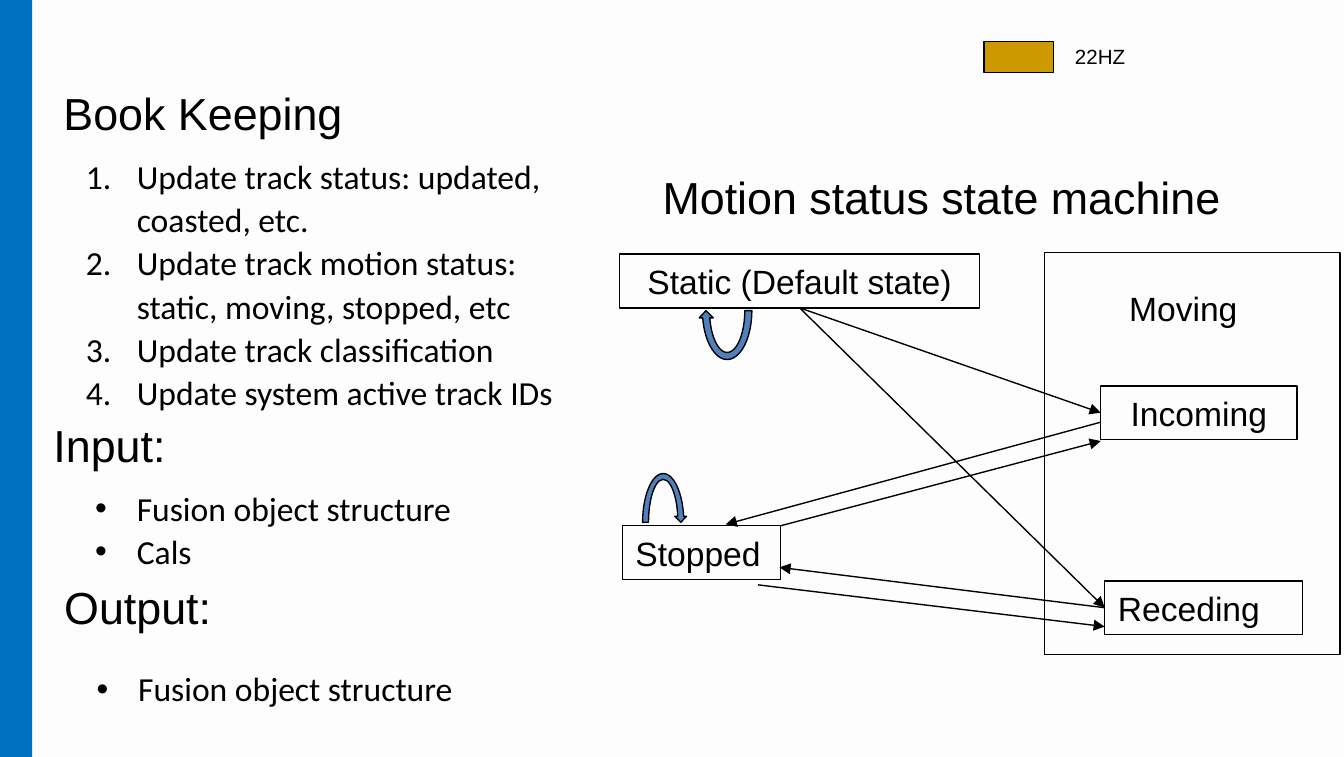
from lxml import etree
from pptx import Presentation
from pptx.dml.color import RGBColor
from pptx.enum.shapes import MSO_CONNECTOR, MSO_SHAPE
from pptx.enum.text import MSO_AUTO_SIZE, PP_ALIGN
from pptx.oxml.ns import qn
from pptx.util import Inches, Pt

RECT, LOOP = MSO_SHAPE.RECTANGLE, MSO_SHAPE.CIRCULAR_ARROW
STRAIGHT = MSO_CONNECTOR.STRAIGHT
LEFT, CENTER = PP_ALIGN.LEFT, PP_ALIGN.CENTER
FIT = MSO_AUTO_SIZE.SHAPE_TO_FIT_TEXT
BOTTOM_SIDE, LEFT_SIDE = 0 + 2, 1
COLORS = {"background": "FDFDFD", "band": "0070C0", "rate": "CC9900",
          "loop": "4F81BD", "ink": "000000"}


def rgb(name):
    return RGBColor.from_string(COLORS[name])


def write(frame, text, *, size=18, font="Arial", align=LEFT,
          bullet=None, hang=0.31):
    """Fill a text frame, one paragraph per line; bullet is "number" or a sign."""
    frame.word_wrap = True
    frame.auto_size = FIT
    for i, line in enumerate(text.split("\n")):
        paragraph = frame.add_paragraph() if i else frame.paragraphs[0]
        paragraph.alignment = align
        if bullet:
            paragraph.line_spacing = 1.07
            props = paragraph._p.get_or_add_pPr()
            props.set("marL", str(Inches(hang)))
            props.set("indent", str(-Inches(hang)))
            if bullet == "number":
                etree.SubElement(props, qn("a:buAutoNum"), type="arabicPeriod")
            else:
                etree.SubElement(props, qn("a:buFont"), typeface="Arial")
                etree.SubElement(props, qn("a:buChar"), char=bullet)
        run = paragraph.add_run()
        run.text = line
        run.font.size = Pt(size)
        run.font.name = font
        run.font.color.rgb = rgb("ink")


class SlideBuilder:
    def __init__(self, slide):
        self.slide = slide
        self.line_width = Pt(0.75)
        slide.background.fill.solid()
        slide.background.fill.fore_color.rgb = rgb("background")

    def text(self, left, top, width, height, text, **style):
        box = self.slide.shapes.add_textbox(*map(Inches, (left, top, width, height)))
        write(box.text_frame, text, **style)

    def heading(self, left, top, text, width=2.54, **style):
        self.text(left, top, width, 0.5, text, size=24, **style)

    def items(self, left, top, height, text, **style):
        self.text(left, top, 3.77, height, text, font="Calibri", **style)

    def shape(self, left, top, width, height, kind=RECT, fill=None, outline=True):
        shape = self.slide.shapes.add_shape(
            kind, *map(Inches, (left, top, width, height)))
        shape.shadow.inherit = False
        if fill:
            shape.fill.solid()
            shape.fill.fore_color.rgb = rgb(fill)
        else:
            shape.fill.background()
        if outline:
            shape.line.color.rgb = rgb("ink")
            shape.line.width = self.line_width
        else:
            shape.line.fill.background()
        return shape

    def state(self, left, top, width, text, **style):
        box = self.shape(left, top, width, 0.4)
        write(box.text_frame, text, **style)
        return box

    def arrow(self, start, end, source=None, target=None):
        """Arrow between points; source and target are (shape, side) joints."""
        line = self.slide.shapes.add_connector(
            STRAIGHT, *map(Inches, (*start, *end)))
        if source:
            line.begin_connect(*source)
        if target:
            line.end_connect(*target)
        line.line.color.rgb = rgb("ink")
        line.line.width = self.line_width
        etree.SubElement(line.line._get_or_add_ln(), qn("a:tailEnd"), type="triangle")
        etree.SubElement(line._element.spPr, qn("a:effectLst"))


def main():
    deck = Presentation()
    deck.slide_width, deck.slide_height = Inches(10), Inches(5.63)
    page = SlideBuilder(deck.slides.add_slide(deck.slide_layouts[6]))

    # Side band and rate legend
    page.shape(0, 0, 0.24, 5.63, fill="band", outline=False)
    page.shape(7.32, 0.31, 0.52, 0.23, fill="rate")
    page.text(7.9, 0.28, 0.93, 0.29, "22HZ", size=11)

    # Book keeping, input and output
    page.heading(0.24, 0.59, "Book Keeping", align=CENTER)
    page.items(0.54, 1.09, 2.05,
               "Update track status: updated, coasted, etc.\n"
               "Update track motion status: static, moving, stopped, etc\n"
               "Update track classification\n"
               "Update system active track IDs", bullet="number", hang=0.38)
    page.heading(0.3, 3.06, "Input:")
    page.items(0.61, 3.56, 0.73, "Fusion object structure\nCals", bullet="•")
    page.heading(0.38, 4.26, "Output:")
    page.items(0.62, 4.9, 0.43, "Fusion object structure", bullet="•")

    # States
    page.heading(4.39, 1.21, "Motion status state machine", width=5.23, align=CENTER)
    page.shape(7.77, 1.88, 2.2, 2.99)
    page.text(8.25, 2.09, 1.11, 0.4, "Moving", align=CENTER)
    static = page.state(4.61, 1.89, 2.68, "Static (Default state)", align=CENTER)
    page.state(4.63, 3.91, 1.18, "Stopped")
    incoming = page.state(8.19, 2.87, 1.46, "Incoming", align=CENTER)
    receding = page.state(8.22, 4.32, 1.47, "Receding")

    # Transitions
    static_exit = (static, BOTTOM_SIDE)
    incoming_entry, receding_entry = (incoming, LEFT_SIDE), (receding, LEFT_SIDE)
    page.arrow((5.95, 2.29), (8.19, 3.07), static_exit, incoming_entry)
    page.arrow((5.95, 2.29), (8.22, 4.52), static_exit, receding_entry)
    page.arrow((5.81, 3.91), (8.19, 3.28))
    page.arrow((8.19, 3.14), (5.4, 3.9))
    page.arrow((8.22, 4.52), (5.8, 4.22), source=receding_entry)
    page.arrow((5.64, 4.35), (8.22, 4.66))

    # Self loops of the static and stopped states
    static_loop = page.shape(5.2, 1.92, 0.42, 0.78, LOOP, "loop")
    static_loop.rotation = 180
    page.shape(4.76, 3.5, 0.35, 0.77, LOOP, "loop")

    deck.save("out.pptx")


if __name__ == "__main__":
    main()
